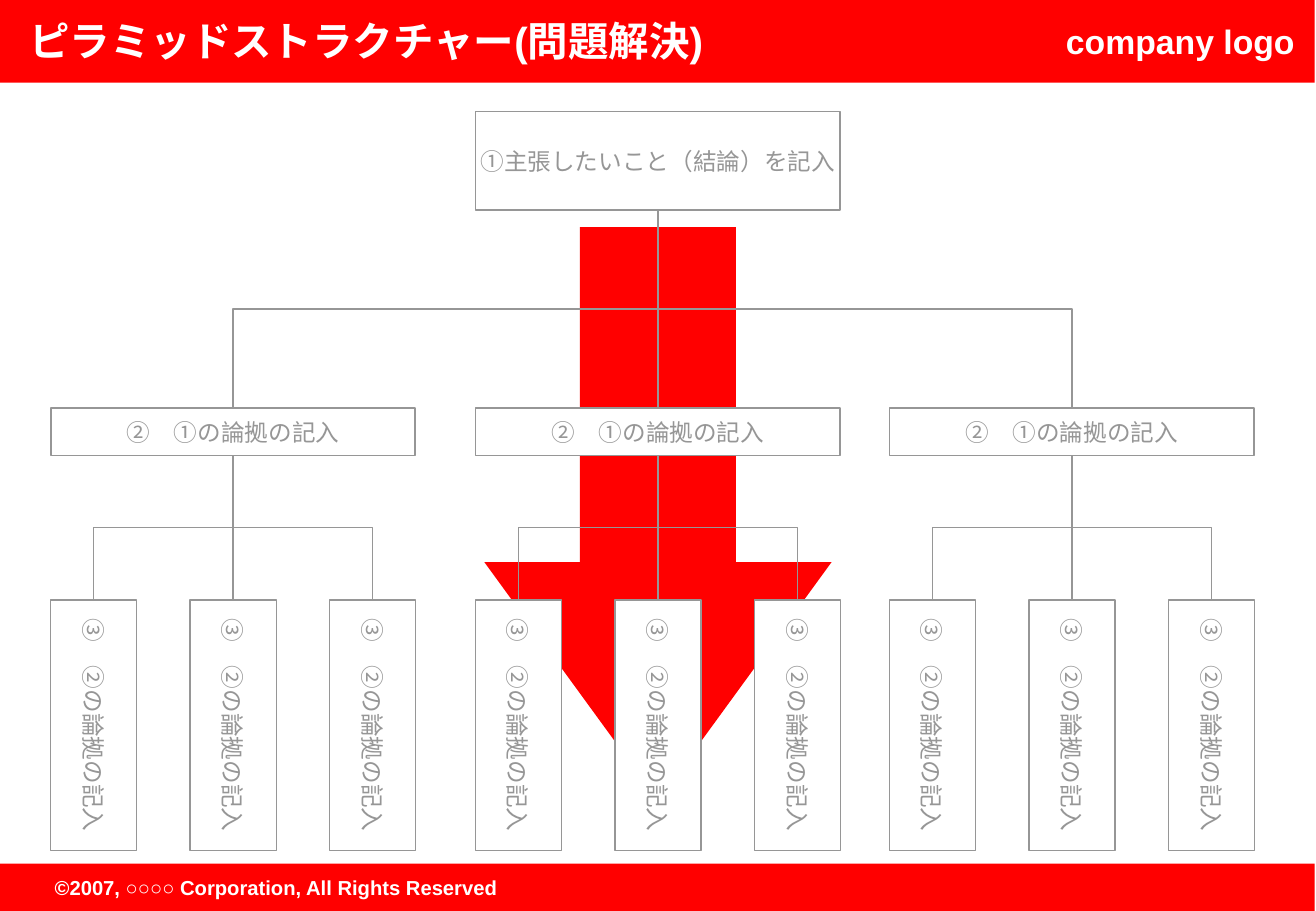
"""Pyramid structure slide: one claim, three reasons, nine supporting grounds."""
from pptx import Presentation
from pptx import util as u
from pptx.dml.color import RGBColor
from pptx.enum import shapes, text
from pptx.oxml.ns import qn
from lxml import etree

RED = RGBColor(0xFF, 0, 0)
WHITE = RGBColor(0xFF, 0xFF, 0xFF)
GRAY = RGBColor(0x96, 0x96, 0x96)
RECT = shapes.MSO_SHAPE.RECTANGLE
LINE = shapes.MSO_CONNECTOR.STRAIGHT
BENT = shapes.MSO_CONNECTOR.ELBOW
LEFT, MID = text.PP_ALIGN.LEFT, text.PP_ALIGN.CENTER
WIDE, TALL, LONG = 3, 0.71, 2.06
HALF = LONG / 2
ROOT, BASE = 1.73, 3.75
TOP, LEAF = 3.36, 4.94
STEP = 1.15


def draw(kind, x, y, w, h, fill, line=None):
    box = deck.add_shape(kind, *map(u.Inches, (x, y, w, h)))
    box.shadow.inherit = False
    box.fill.solid()
    box.fill.fore_color.rgb = fill
    if line:
        box.line.color.rgb = line
        box.line.width = u.Pt(0.75)
    else:
        box.line.fill.background()
    return box


def write(box, words, size, color, bold=False, align=MID, pad=0):
    frame = box.text_frame
    frame.text = words
    frame.vertical_anchor = text.MSO_ANCHOR.MIDDLE
    frame.margin_left = frame.margin_right = u.Inches(pad)
    frame.margin_top = frame.margin_bottom = u.Inches(pad / 2)
    para = frame.paragraphs[0]
    para.alignment = align
    font = para.runs[0].font
    font.name, font.size, font.bold = "Arial", u.Pt(size), bold
    font.color.rgb = color


prs = Presentation()
prs.slide_width, prs.slide_height = u.Inches(10.84), u.Inches(7.5)
slide = prs.slides.add_slide(prs.slide_layouts[5])
deck = slide.shapes

for y, h in ((0, 0.68), (7.11, 0.39)):
    draw(RECT, 0, y, 10.83, h, RED)
for words, size, align, pad, spot in (
    ("company logo", 20, LEFT, 0, (8.78, 0.17, 1.89, 0.33)),
    ("©2007, ○○○○ Corporation, All Rights Reserved", 12, MID, 0.1, (0.35, 7.16, 3.85, 0.3)),
):
    label = deck.add_textbox(*map(u.Inches, spot))
    label.text_frame.word_wrap = False
    write(label, words, size, WHITE, True, align, pad)

arrow = draw(shapes.MSO_SHAPE.DOWN_ARROW, 3.99, 1.87, 2.86, 4.72, RED)
arrow.adjustments[0], arrow.adjustments[1] = 0.449, 0.686

title = deck.title
title.left, title.top = u.Inches(0.14), u.Inches(0)
title.width, title.height = u.Inches(7.86), u.Inches(0.67)
title.text_frame.auto_size = text.MSO_AUTO_SIZE.NONE
write(title, "ピラミッドストラクチャー(問題解決)", 24, WHITE, True, LEFT, 0.1)
arrow.element.addnext(title.element)

claim = draw(RECT, 3.92, 0.92, WIDE, 0.81, WHITE, GRAY)
write(claim, "①主張したいこと（結論）を記入", 14, GRAY)

links = []
for mid in (1.92, 5.42, 8.83):
    reason = draw(RECT, mid - WIDE / 2, TOP, WIDE, 0.39, WHITE, GRAY)
    write(reason, "②　①の論拠の記入", 14, GRAY)
    links.append((claim, 5.42, ROOT, reason, mid, TOP, 0))
    for k in (-1, 0, 1):
        x = mid + k * STEP
        ground = draw(RECT, x - HALF, LEAF + HALF - TALL / 2, LONG, TALL, WHITE, GRAY)
        ground.rotation = 90
        write(ground, "③　②の論拠の記入", 14, GRAY)
        links.append((reason, mid, BASE, ground, x, LEAF, 1))

for start, x, y, end, to, low, side in links:
    if x == to:
        wire = deck.add_connector(LINE, *map(u.Inches, (x, y, to, low)))
        wire.begin_connect(start, 2)
        wire.end_connect(end, side)
        wire.end_x, wire.end_y = u.Inches(to), u.Inches(low)
    else:
        drop, span = low - y, abs(to - x)
        left, top = (x + to - drop) / 2, (y + low - span) / 2
        wire = deck.add_connector(BENT, *map(u.Inches, (left, top, left + drop, top + span)))
        frame = wire.element.spPr.find(qn("a:xfrm"))
        frame.set("rot", str((90 if to < x else 270) * 60000))
        if to > x:
            frame.set("flipH", "1")
    wire.line.color.rgb = GRAY
    wire.line.width = u.Pt(0.75)
    etree.SubElement(wire.element.spPr, qn("a:effectLst"))

prs.save("out.pptx")
